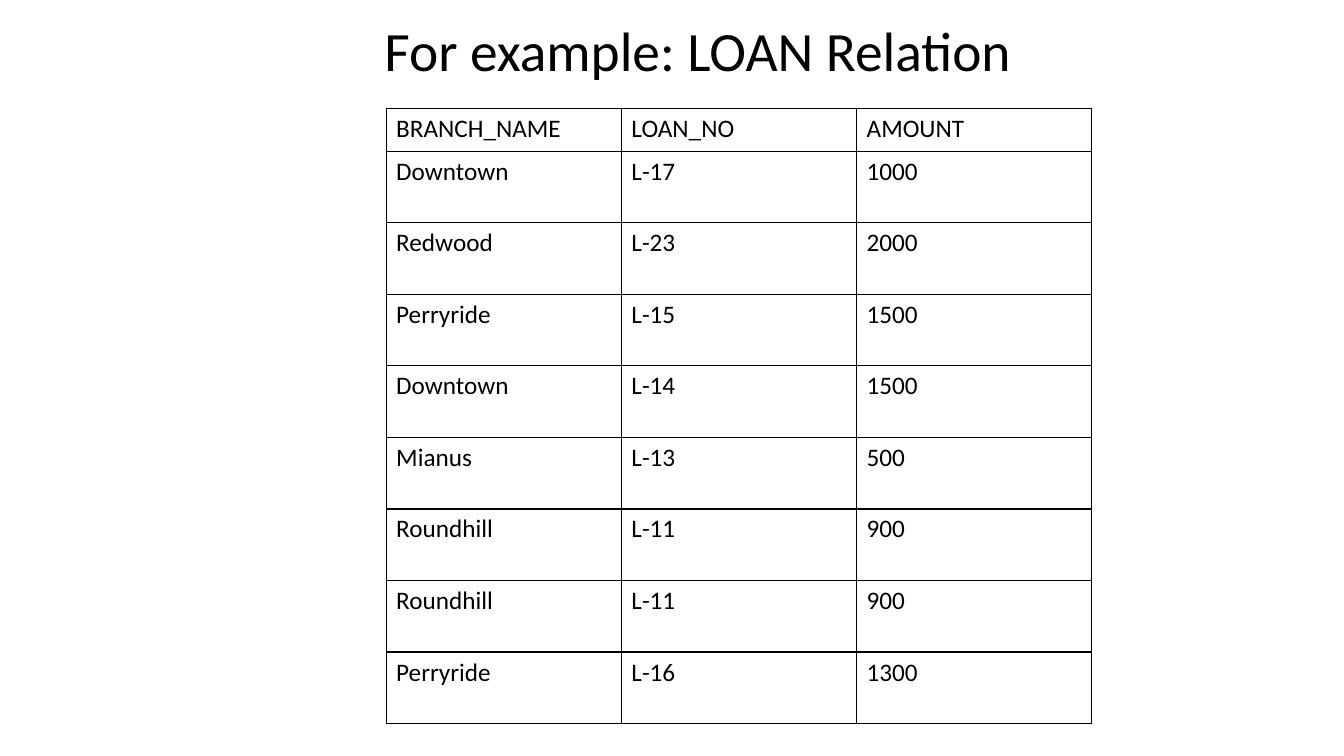
from dataclasses import dataclass

from lxml.etree import SubElement
from pptx import Presentation
from pptx.dml.color import RGBColor
from pptx.enum.text import MSO_ANCHOR, PP_ALIGN
from pptx.oxml.ns import qn
from pptx.slide import Slide
from pptx.table import _Cell
from pptx.text.text import _Paragraph
from pptx.util import Inches, Pt


@dataclass(frozen=True)
class Theme:
    font: str = "Calibri"
    ink: str = "000000"
    title_size: float = 39.6
    cell_size: float = 18
    border: float = 1


@dataclass(frozen=True)
class Loan:
    branch: str
    number: str
    amount: str


THEME = Theme()
HEADER = Loan("BRANCH_NAME", "LOAN_NO", "AMOUNT")
LOANS = [
    Loan("Downtown", "L-17", "1000"),
    Loan("Redwood", "L-23", "2000"),
    Loan("Perryride", "L-15", "1500"),
    Loan("Downtown", "L-14", "1500"),
    Loan("Mianus", "L-13", "500"),
    Loan("Roundhill", "L-11", "900"),
    Loan("Roundhill", "L-11", "900"),
    Loan("Perryride", "L-16", "1300"),
]
HEADER_HEIGHT = 0.42
LOAN_HEIGHT = 0.71


def add_run(p: _Paragraph, text: str, size: float) -> None:
    r = p.add_run()
    r.text = text
    r.font.name = THEME.font
    r.font.size = Pt(size)
    r.font.color.rgb = RGBColor.from_string(THEME.ink)


def add_title(s: Slide, text: str) -> None:
    sp = s.shapes.add_textbox(Inches(2.42), Inches(0.08), Inches(9), Inches(0.82))
    tf = sp.text_frame
    tf.word_wrap = True
    tf.vertical_anchor = MSO_ANCHOR.MIDDLE
    p = tf.paragraphs[0]
    p.alignment = PP_ALIGN.CENTER
    add_run(p, text, THEME.title_size)


def style_cell(cell: _Cell) -> None:
    tc_pr = cell._tc.get_or_add_tcPr()
    for side in ("a:lnL", "a:lnR", "a:lnT", "a:lnB"):
        ln = SubElement(tc_pr, qn(side), w=str(Pt(THEME.border)))
        fill = SubElement(ln, qn("a:solidFill"))
        SubElement(fill, qn("a:srgbClr"), val=THEME.ink)
    cell.fill.background()


def add_loan_table(s: Slide, header: Loan, loans: list[Loan]) -> None:
    height = HEADER_HEIGHT + LOAN_HEIGHT * len(loans)
    frame = s.shapes.add_table(
        len(loans) + 1, 3, Inches(3.83), Inches(1.08), Inches(7), Inches(height)
    )
    table = frame.table
    table.first_row = False
    table.horz_banding = False
    for i, loan in enumerate([header, *loans]):
        table.rows[i].height = Inches(LOAN_HEIGHT if i else HEADER_HEIGHT)
        for j, text in enumerate((loan.branch, loan.number, loan.amount)):
            cell = table.cell(i, j)
            style_cell(cell)
            add_run(cell.text_frame.paragraphs[0], text, THEME.cell_size)


def main() -> None:
    prs = Presentation()
    prs.slide_width = Inches(13.33)
    prs.slide_height = Inches(7.5)
    s = prs.slides.add_slide(prs.slide_layouts[6])
    add_title(s, "For example: LOAN Relation")
    add_loan_table(s, HEADER, LOANS)
    prs.save("out.pptx")


if __name__ == "__main__":
    main()
